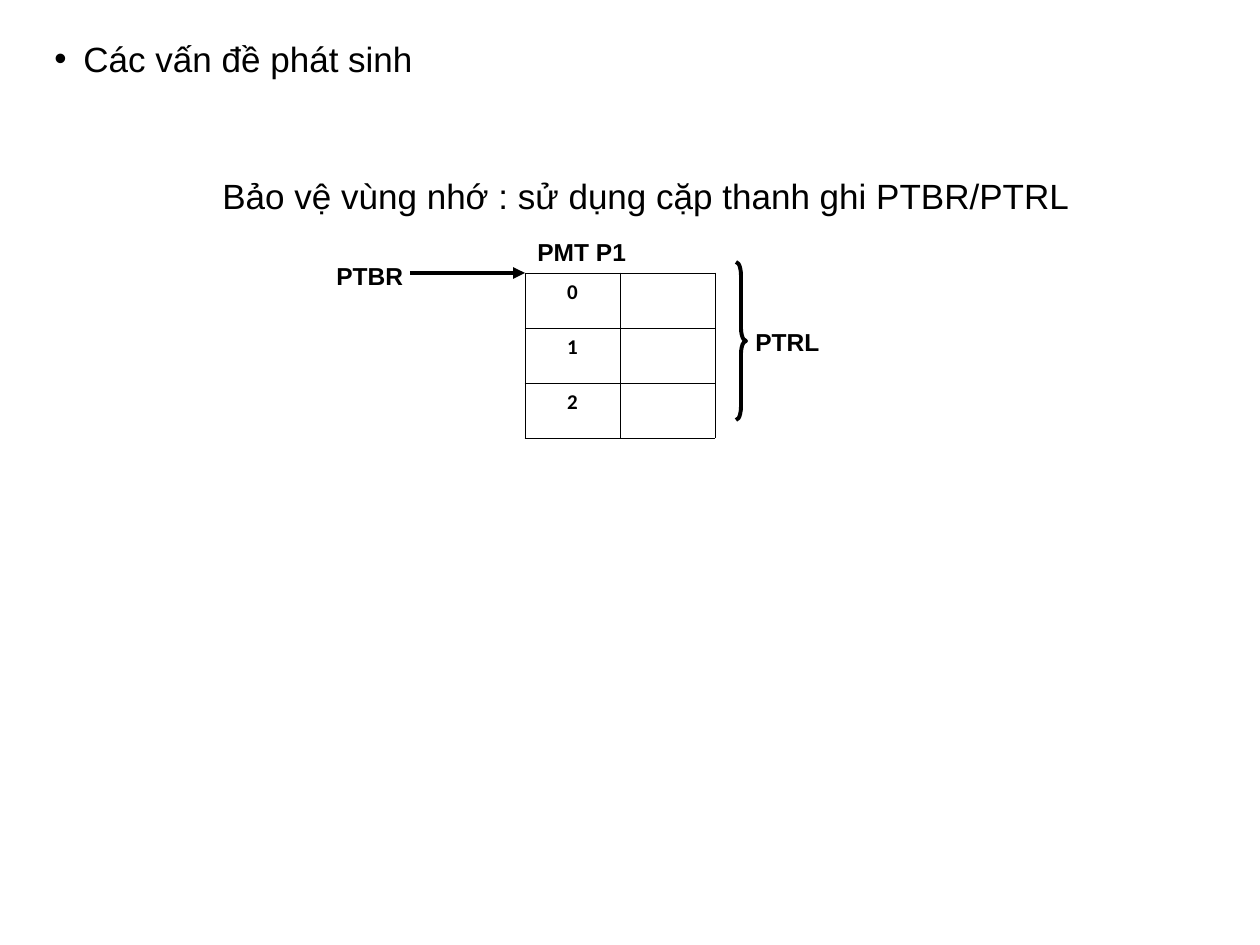
from lxml import etree
from pptx import Presentation
from pptx.dml.color import RGBColor
from pptx.enum.shapes import MSO_CONNECTOR, MSO_SHAPE
from pptx.enum.text import PP_ALIGN
from pptx.oxml.ns import qn
from pptx.util import Pt

PX = 914400 // 126
STRAIGHT = MSO_CONNECTOR.STRAIGHT
RIGHT_BRACE = MSO_SHAPE.RIGHT_BRACE
CENTER = PP_ALIGN.CENTER
COLORS = {"ink": "000000"}

# Content: text, box in px, format
TEXTS = [
    ("Các vấn đề phát sinh", (42, 31, 1052, 55), {"size": 20, "hanging": 29}),
    ("Bảo vệ vùng nhớ : sử dụng cặp thanh ghi PTBR/PTRL", (210, 168, 882, 55),
     {"size": 20}),
    ("PMT P1", (525, 231, 122, 43), {"bold": True}),
    ("PTBR", (324, 255, 98, 43), {"bold": True}),
    ("PTRL", (743, 321, 98, 43), {"bold": True}),
]
PAGE_ROWS = [("0", ""), ("1", ""), ("2", "")]
TABLE_LEFT, TABLE_TOP, COLUMN_WIDTH, ROW_HEIGHT = 525, 273, 95, 55
ARROW_START = 410
BRACE = (736, 262, 10, 158)


def px(*lengths):
    return [length * PX for length in lengths]


def color(name):
    return RGBColor.from_string(COLORS[name])


def write(frame, text, size=14, bold=False, font="Arial", align=None, hanging=0):
    frame.word_wrap = True
    paragraph = frame.paragraphs[0]
    if hanging:
        properties = paragraph._p.get_or_add_pPr()
        properties.set("marL", str(hanging * PX))
        properties.set("indent", str(-hanging * PX))
        etree.SubElement(properties, qn("a:buFont"), typeface="Arial")
        etree.SubElement(properties, qn("a:buChar"), char="•")
    if align is not None:
        paragraph.alignment = align
    run = paragraph.add_run()
    run.text = text
    run.font.size = Pt(size)
    run.font.bold = bold
    run.font.name = font
    run.font.color.rgb = color("ink")


def add_borders(cell):
    properties = cell._tc.get_or_add_tcPr()
    for position, side in enumerate(("lnL", "lnR", "lnT", "lnB")):
        line = etree.Element(qn(f"a:{side}"), w=str(Pt(0.45)))
        fill = etree.SubElement(line, qn("a:solidFill"))
        etree.SubElement(fill, qn("a:srgbClr"), val=COLORS["ink"])
        properties.insert(position, line)


def set_line(shape):
    shape.line.color.rgb = color("ink")
    shape.line.width = Pt(2.25)


presentation = Presentation()
presentation.slide_width, presentation.slide_height = px(1260, 945)
slide = presentation.slides.add_slide(presentation.slide_layouts[6])

# Statements and labels
for text, box, text_format in TEXTS:
    text_box = slide.shapes.add_textbox(*px(*box))
    write(text_box.text_frame, text, **text_format)

# Page map table
row_count, column_count = len(PAGE_ROWS), len(PAGE_ROWS[0])
table = slide.shapes.add_table(
    row_count, column_count,
    *px(TABLE_LEFT, TABLE_TOP, column_count * COLUMN_WIDTH, row_count * ROW_HEIGHT),
).table
table.first_row = table.horz_banding = False
for row_index, values in enumerate(PAGE_ROWS):
    for column_index, value in enumerate(values):
        cell = table.cell(row_index, column_index)
        cell.fill.background()
        add_borders(cell)
        if value:
            write(cell.text_frame, value, size=12, bold=True, font="Calibri", align=CENTER)

# Arrow to the start of the table
arrow = slide.shapes.add_connector(
    STRAIGHT, *px(ARROW_START, TABLE_TOP, TABLE_LEFT, TABLE_TOP))
set_line(arrow)
etree.SubElement(arrow.line._get_or_add_ln(), qn("a:tailEnd"), type="triangle")
etree.SubElement(arrow._element.spPr, qn("a:effectLst"))

# Brace for the table length
brace = slide.shapes.add_shape(RIGHT_BRACE, *px(*BRACE))
brace.shadow.inherit = False
brace.fill.background()
set_line(brace)
brace.adjustments[0] = 1.3

presentation.save("out.pptx")
